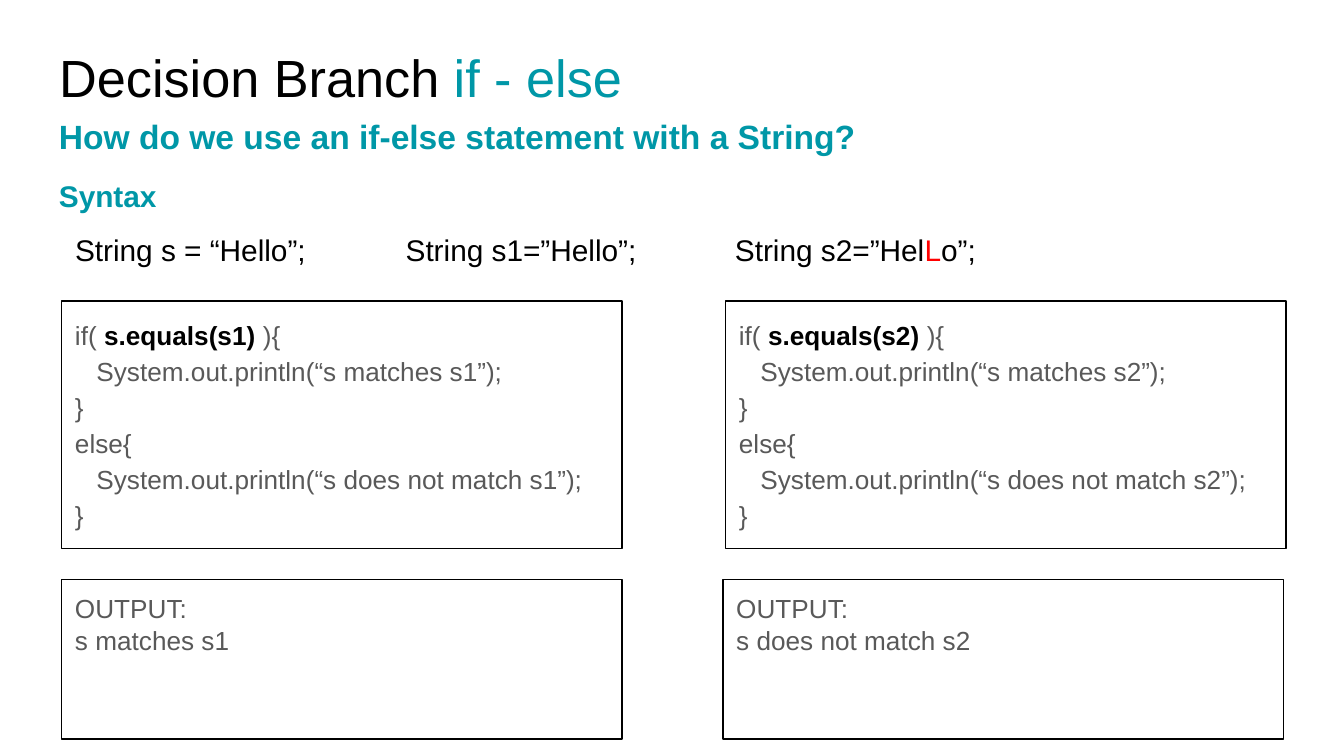
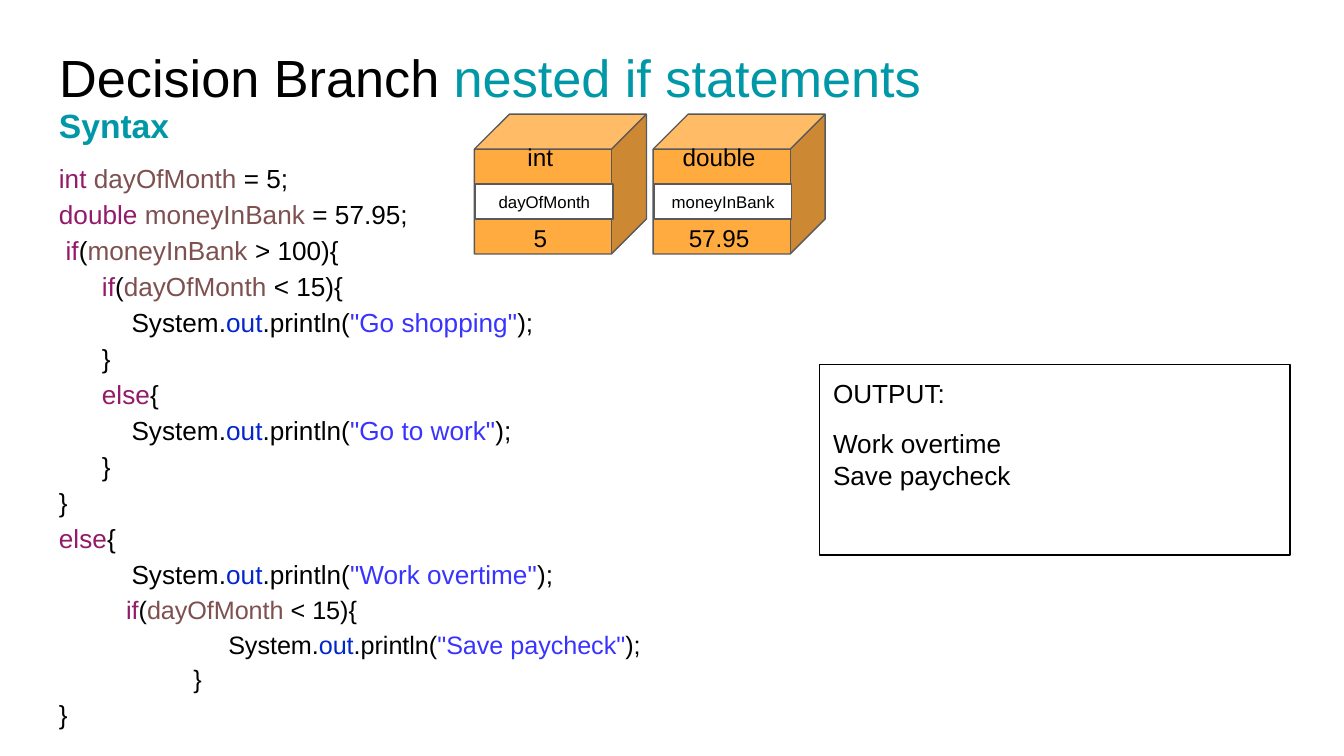
from dataclasses import dataclass

from lxml import etree
from pptx import Presentation
from pptx import util as u
from pptx.dml.color import RGBColor
from pptx.enum import shapes, text
from pptx.oxml import ns


@dataclass(frozen=True)
class Theme:
    font: str = "Arial"
    ink: str = "000000"
    grey: str = "595959"
    teal: str = "0097A7"
    red: str = "FF0000"
    orange: str = "FFAB40"
    white: str = "FFFFFF"
    keyword: str = "931A68"
    variable: str = "7E504F"
    field: str = "0326CC"
    string: str = "3933FF"
    title: float = 28
    heading: float = 18
    subheading: float = 16
    code: float = 14
    small_code: float = 13.5
    value: float = 13
    label: float = 9
    line: float = 0.75
    inset: float = 0.1
    code_spacing: float = 1.15


THEME = Theme()


def place(shape, box):
    shape.left, shape.top, shape.width, shape.height = map(u.Inches, box)


def prepare_frame(shape, anchor=text.MSO_ANCHOR.TOP):
    frame = shape.text_frame
    frame.word_wrap = True
    frame.auto_size = text.MSO_AUTO_SIZE.NONE
    frame.vertical_anchor = anchor
    frame.margin_left = frame.margin_right = u.Inches(THEME.inset)
    frame.margin_top = frame.margin_bottom = u.Inches(THEME.inset)
    return frame


def add_span(para, words, size, color, bold=False):
    span = para.add_run()
    span.text = words
    span.font.name = THEME.font
    span.font.size = u.Pt(size)
    span.font.bold = bold
    span.font.color.rgb = RGBColor.from_string(color)


def add_break(para, size):
    para.add_line_break()
    etree.SubElement(para._p[-1], ns.qn("a:rPr"), sz=str(int(size * 100)))


def write(frame, lines, size, spacing=None, align=text.PP_ALIGN.LEFT):
    paras = []
    for number, spans in enumerate(lines):
        para = frame.add_paragraph() if number else frame.paragraphs[0]
        para.alignment = align
        if spacing:
            para.line_spacing = spacing
        for words, *style in spans:
            if words == "\n":
                add_break(para, size)
            else:
                add_span(para, words, size, *style)
        paras.append(para)
    return paras


def indent(para, inches):
    if inches:
        para._p.get_or_add_pPr().set("marL", str(u.Inches(inches)))


def set_tabs(para, stops):
    tabs = etree.SubElement(para._p.get_or_add_pPr(), ns.qn("a:tabLst"))
    for stop in stops:
        etree.SubElement(tabs, ns.qn("a:tab"), pos=str(u.Inches(stop)), algn="l")


def add_text(page, box, lines, size, **options):
    shape = page.shapes.add_textbox(*map(u.Inches, box))
    return write(prepare_frame(shape), lines, size, **options)


def add_panel(page, box, fill=None, line=THEME.ink, kind=shapes.MSO_SHAPE.RECTANGLE):
    shape = page.shapes.add_shape(kind, *map(u.Inches, box))
    shape.shadow.inherit = False
    if fill:
        shape.fill.solid()
        shape.fill.fore_color.rgb = RGBColor.from_string(fill)
    else:
        shape.fill.background()
    shape.line.color.rgb = RGBColor.from_string(line)
    shape.line.width = u.Pt(THEME.line)
    return shape


def add_page(deck, topic):
    page = deck.slides.add_slide(deck.slide_layouts[5])
    title = page.shapes.title
    place(title, (0.34, 0.24, 9.32, 0.63))
    write(prepare_frame(title), [[("Decision Branch ", THEME.ink), (topic, THEME.teal)]], THEME.title)
    return page


def add_heading(page, box, words, size):
    add_text(page, box, [[(words, THEME.teal, True)]], size)


def add_output(page, box, lines):
    panel = add_panel(page, box)
    return write(prepare_frame(panel), lines, THEME.code)


def add_comparison(page, box, other):
    panel = add_panel(page, box)
    grey = THEME.grey
    lines = [
        [("if( ", grey), (f"s.equals({other})", THEME.ink, True), (" ){", grey)],
        [(f"System.out.println(“s matches {other}”);", grey)],
        [("}", grey)],
        [("else{", grey)],
        [(f"System.out.println(“s does not match {other}”);", grey)],
        [("}", grey)],
    ]
    paras = write(prepare_frame(panel), lines, THEME.code, spacing=THEME.code_spacing)
    for para in (paras[1], paras[4]):
        indent(para, 0.16)


def add_declarations(page, box):
    ink = THEME.ink
    line = [("\tString s = “Hello”;\tString s1=”Hello”;\tString s2=”Hel", ink), ("L", THEME.red), ("o”;", ink)]
    heading, declarations = add_text(page, box, [[("Syntax", THEME.teal, True)], line], THEME.subheading)
    declarations.space_before = u.Pt(10)
    set_tabs(declarations, (0.12, 2.58, 5.03))


def add_variable_box(page, box, kind, name, value):
    left, top, width, height = box
    cube = add_panel(page, box, THEME.orange, THEME.grey, shapes.MSO_SHAPE.CUBE)
    cube.adjustments[0] = 0.25
    label = add_panel(page, (left + 0.01, top + height / 2, width - 0.26, height / 4), THEME.white, THEME.grey)
    center = text.PP_ALIGN.CENTER
    write(prepare_frame(label, text.MSO_ANCHOR.MIDDLE), [[(name, THEME.ink)]], THEME.label, align=center)
    add_text(page, (left + 0.08, top + 0.11, 0.82, 0.36), [[(kind, THEME.ink)]], THEME.value, align=center)
    add_text(page, (left, top + 0.71, 0.98, 0.26), [[(value, THEME.ink)]], THEME.value, align=center)


def declaration(kind, name, value):
    return [(f"{kind} ", THEME.keyword), (name, THEME.variable), (f" = {value};", THEME.ink)]


def condition(name, test):
    return [("if", THEME.keyword), ("(", THEME.ink), (name, THEME.variable), (f" {test}){{", THEME.ink)]


def println(words):
    return [("System.", THEME.ink), ("out", THEME.field), (".println(", THEME.ink),
            (f'"{words}"', THEME.string), (");", THEME.ink)]


def add_nested_code(page, box):
    close = [("}", THEME.ink)]
    otherwise = [("else", THEME.keyword), ("{", THEME.ink)]
    rows = [
        (0, declaration("int", "dayOfMonth", "5")),
        (0, declaration("double", "moneyInBank", "57.95")),
        (0.05, condition("moneyInBank", "> 100")),
        (0.32, condition("dayOfMonth", "< 15")),
        (0.54, println("Go shopping")),
        (0.32, close),
        (0.32, otherwise),
        (0.54, println("Go to work")),
        (0.32, close),
        (0, close),
        (0, otherwise),
        (0.54, println("Work overtime")),
        (0.5, condition("dayOfMonth", "< 15")),
        (1.26, println("Save paycheck")),
        (1, close),
        (0, close),
    ]
    lines = [spans for _, spans in rows]
    paras = add_text(page, box, lines, THEME.code, spacing=THEME.code_spacing)
    for para, (depth, _) in zip(paras, rows):
        indent(para, depth)
    for para in paras[12:15]:
        for span in para.runs:
            span.font.size = u.Pt(THEME.small_code)


def build_string_page(deck):
    page = add_page(deck, "if - else")
    add_heading(page, (0.34, 0.76, 7.7, 0.63), "How do we use an if-else statement with a String?", THEME.heading)
    add_declarations(page, (0.34, 1.22, 9.01, 0.87))
    for left, other in ((0.46, "s1"), (5.4, "s2")):
        add_comparison(page, (left, 2.24, 4.17, 1.84), other)
    for left, result in ((0.46, "s matches s1"), (5.38, "s does not match s2")):
        line = [("OUTPUT:", THEME.grey), ("\n",), (result, THEME.grey)]
        add_output(page, (left, 4.31, 4.17, 1.19), [line])


def build_nested_page(deck):
    page = add_page(deck, "nested if statements")
    add_nested_code(page, (0.34, 1.07, 9.32, 4.45))
    add_heading(page, (0.34, 0.68, 5.41, 0.63), "Syntax", THEME.heading)
    lines = [[(words, THEME.ink)] for words in ("OUTPUT:", "Work overtime", "Save paycheck")]
    paras = add_output(page, (6.1, 2.71, 3.5, 1.42), lines)
    paras[1].space_before = u.Pt(10)
    variables = (("int", "dayOfMonth", "5"), ("double", "moneyInBank", "57.95"))
    for number, variable in enumerate(variables):
        add_variable_box(page, (3.53 + 1.33 * number, 0.85, 1.28, 1.04), *variable)


def main():
    deck = Presentation()
    deck.slide_width = u.Inches(10)
    deck.slide_height = deck.slide_width * 9 // 16
    build_string_page(deck)
    build_nested_page(deck)
    deck.save("out.pptx")


if __name__ == "__main__":
    main()
